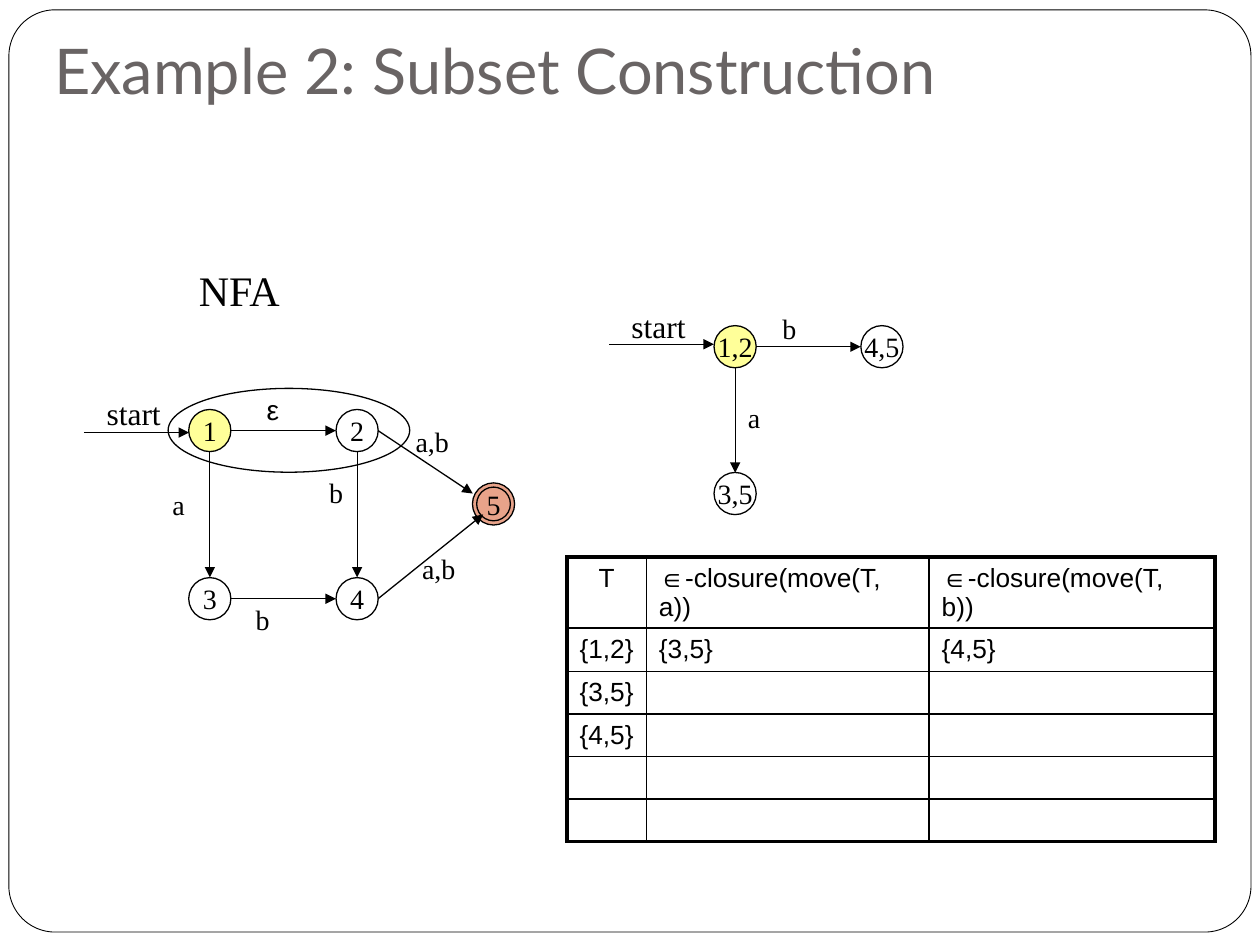
from lxml.etree import SubElement
from pptx import Presentation
from pptx.dml.color import RGBColor
from pptx.enum.shapes import MSO_CONNECTOR, MSO_SHAPE
from pptx.enum.text import MSO_ANCHOR, MSO_AUTO_SIZE, PP_ALIGN
from pptx.oxml.ns import qn
from pptx.util import Cm, Pt

BLACK = RGBColor(0x00, 0x00, 0x00)
WHITE = RGBColor(0xFF, 0xFF, 0xFF)
YELLOW = RGBColor(0xFF, 0xFF, 0x99)
ORANGE = RGBColor(0xD3, 0x48, 0x17)
GRAY = RGBColor(0x69, 0x64, 0x64)
SERIF = "Times New Roman"
SANS = "Arial"
DIAMETER = 0.85

NFA_STATES = [
    ("1", 4.23, 8.68, YELLOW),
    ("5", 9.95, 10.16, ORANGE),
    ("2", 7.2, 8.68, WHITE),
    ("4", 7.2, 12.07, WHITE),
    ("3", 4.23, 12.07, WHITE),
]
DFA_STATES = [
    ("1,2", 14.82, 6.99, YELLOW),
    ("4,5", 17.78, 6.99, None),
    ("3,5", 14.82, 9.95, None),
]
ARROWS = [
    (15.24, 6.99, 17.35, 6.99),
    (14.82, 7.41, 14.82, 9.53),
    (4.66, 8.68, 6.77, 8.68),
    (7.2, 9.1, 7.2, 11.64),
    (4.23, 9.1, 4.23, 11.64),
    (4.66, 12.07, 6.77, 12.07),
    (7.62, 12.07, 9.74, 10.37),
    (7.62, 8.68, 9.53, 9.95),
    (1.69, 8.72, 3.81, 8.72),
    (12.28, 6.94, 14.39, 6.94),
]
SYMBOLS = [
    ("b", 15.52, 6.15, 0.79, SERIF),
    ("a", 14.82, 7.95, 0.76, SERIF),
    ("ε", 5.12, 7.78, 0.76, SANS),
    ("b", 4.9, 12.02, 0.79, SERIF),
    ("a", 3.22, 9.7, 0.76, SERIF),
    ("b", 6.38, 9.47, 0.79, SERIF),
    ("a,b", 8.12, 8.43, 1.19, SERIF),
    ("a,b", 8.25, 11.0, 1.19, SERIF),
]
HEADINGS = [
    ("NFA", 3.76, 5.2, 2.21, 1.27, 24),
    ("start", 1.9, 7.82, 1.75, 1.02, 18),
    ("start", 12.48, 6.06, 1.75, 1.02, 18),
]
TABLE_ROWS = [
    ("T", "∈-closure(move(T, a))", "∈-closure(move(T, b))"),
    ("{1,2}", "{3,5}", "{4,5}"),
    ("{3,5}", "", ""),
    ("{4,5}", "", ""),
    ("", "", ""),
    ("", "", ""),
]
COLUMN_WIDTHS = [1.6, 5.7, 5.76]
ROW_HEIGHTS = [1.42, 0.88] + [0.85] * 4


class SlideBuilder:
    """Hold the style and the current slide, and add each kind of element."""

    def __init__(self, slide):
        self.slide = slide
        self.line_width = 0.75
        self.symbol_size = 16
        self.table_size = 15

    def apply(self, target, values):
        for name, value in values.items():
            setattr(target, name, value)

    def add_text(self, frame, text, size, font_name, color=BLACK, align=PP_ALIGN.LEFT):
        paragraph = frame.paragraphs[0]
        paragraph.alignment = align
        run = paragraph.add_run()
        run.text = text
        self.apply(run.font, {"size": Pt(size), "name": font_name})
        run.font.color.rgb = color

    def title(self, text):
        title = self.slide.shapes.title
        self.apply(title, {"left": Cm(0.84), "top": Cm(0.64),
                           "width": Cm(23.88), "height": Cm(1.78)})
        self.apply(title.text_frame, {
            "vertical_anchor": MSO_ANCHOR.BOTTOM, "word_wrap": True,
            "auto_size": MSO_AUTO_SIZE.NONE,
            "margin_left": Cm(0.25), "margin_top": Cm(0.13),
            "margin_right": Cm(0.25), "margin_bottom": Cm(0.25)})
        self.add_text(title.text_frame, text, 36, "Lato", GRAY)

    def outline(self, kind, left, top, width, height, fill=None, line_width=None):
        shape = self.slide.shapes.add_shape(
            kind, Cm(left), Cm(top), Cm(width), Cm(height))
        shape.shadow.inherit = False
        if fill is None:
            shape.fill.background()
        else:
            shape.fill.solid()
            shape.fill.fore_color.rgb = fill
        shape.line.color.rgb = BLACK
        shape.line.width = Pt(line_width or self.line_width)
        return shape

    def state(self, name, center_x, center_y, fill):
        shape = self.outline(MSO_SHAPE.OVAL, center_x - DIAMETER / 2,
                             center_y - DIAMETER / 2, DIAMETER, DIAMETER, fill)
        self.apply(shape.text_frame, {
            "word_wrap": False, "vertical_anchor": MSO_ANCHOR.MIDDLE,
            "margin_left": 0, "margin_right": 0,
            "margin_top": 0, "margin_bottom": 0})
        self.add_text(shape.text_frame, name, self.symbol_size, SERIF,
                      align=PP_ALIGN.CENTER)
        if fill == ORANGE:
            color = shape._element.spPr.find(qn("a:solidFill"))[0]
            SubElement(color, qn("a:alpha"), val="50000")

    def arrow(self, start_x, start_y, end_x, end_y):
        connector = self.slide.shapes.add_connector(
            MSO_CONNECTOR.STRAIGHT, Cm(start_x), Cm(start_y), Cm(end_x), Cm(end_y))
        connector.line.color.rgb = BLACK
        connector.line.width = Pt(self.line_width)
        properties = connector._element.spPr
        SubElement(properties.find(qn("a:ln")), qn("a:tailEnd"), type="triangle")
        SubElement(properties, qn("a:effectLst"))

    def label(self, text, left, top, width, height, size,
              font_name=SERIF, align=PP_ALIGN.LEFT):
        box = self.slide.shapes.add_textbox(
            Cm(left), Cm(top), Cm(width), Cm(height))
        self.apply(box.text_frame, {"word_wrap": False,
                                    "auto_size": MSO_AUTO_SIZE.SHAPE_TO_FIT_TEXT})
        self.add_text(box.text_frame, text, size, font_name, align=align)

    def border(self, cell, side, width):
        properties = cell._tc.get_or_add_tcPr()
        line = SubElement(properties, qn(f"a:ln{side}"), w=str(Pt(width)))
        fill = SubElement(line, qn("a:solidFill"))
        SubElement(fill, qn("a:srgbClr"), val=str(BLACK))

    def table(self, left, top, rows, widths, heights):
        table = self.slide.shapes.add_table(
            len(rows), len(widths), Cm(left), Cm(top),
            Cm(sum(widths)), Cm(sum(heights))).table
        self.apply(table, {"first_row": False, "horz_banding": False})
        for column, width in zip(table.columns, widths):
            column.width = Cm(width)
        for row, height in zip(table.rows, heights):
            row.height = Cm(height)
        last_row, last_column = len(rows) - 1, len(widths) - 1
        for row_index, texts in enumerate(rows):
            for column_index, text in enumerate(texts):
                cell = table.cell(row_index, column_index)
                outer = {"L": column_index == 0, "R": column_index == last_column,
                         "T": row_index == 0, "B": row_index == last_row}
                for side, is_outer in outer.items():
                    self.border(cell, side, 2.25 if is_outer else 1)
                cell.fill.background()
                if row_index:
                    cell.margin_right = Cm(0.1)
                if text:
                    centered = row_index == column_index == 0
                    self.add_text(cell.text_frame, text, self.table_size, SANS,
                                  align=PP_ALIGN.CENTER if centered else PP_ALIGN.LEFT)
                else:
                    SubElement(cell.text_frame.paragraphs[0]._p,
                               qn("a:endParaRPr"), sz="1400")


def main():
    presentation = Presentation()
    presentation.slide_width = Cm(25.4)
    presentation.slide_height = Cm(19.05)
    builder = SlideBuilder(
        presentation.slides.add_slide(presentation.slide_layouts[5]))

    frame = builder.outline(MSO_SHAPE.ROUNDED_RECTANGLE, 0.18, 0.2, 25.04, 18.59,
                            line_width=0.5)
    frame.adjustments[0] = 0.05
    builder.title("Example 2: Subset Construction")
    builder.table(11.43, 11.23, TABLE_ROWS, COLUMN_WIDTHS, ROW_HEIGHTS)
    for state in DFA_STATES + NFA_STATES:
        builder.state(*state)
    for arrow in ARROWS:
        builder.arrow(*arrow)
    for text, left, top, width, font_name in SYMBOLS:
        builder.label(text, left, top, width, 0.94, builder.symbol_size,
                      font_name, PP_ALIGN.CENTER)
    for heading in HEADINGS:
        builder.label(*heading)
    builder.outline(MSO_SHAPE.OVAL, 3.39, 7.83, 4.87, 1.69)
    builder.outline(MSO_SHAPE.OVAL, 9.61, 9.82, 0.68, 0.68)
    presentation.save("out.pptx")


if __name__ == "__main__":
    main()
